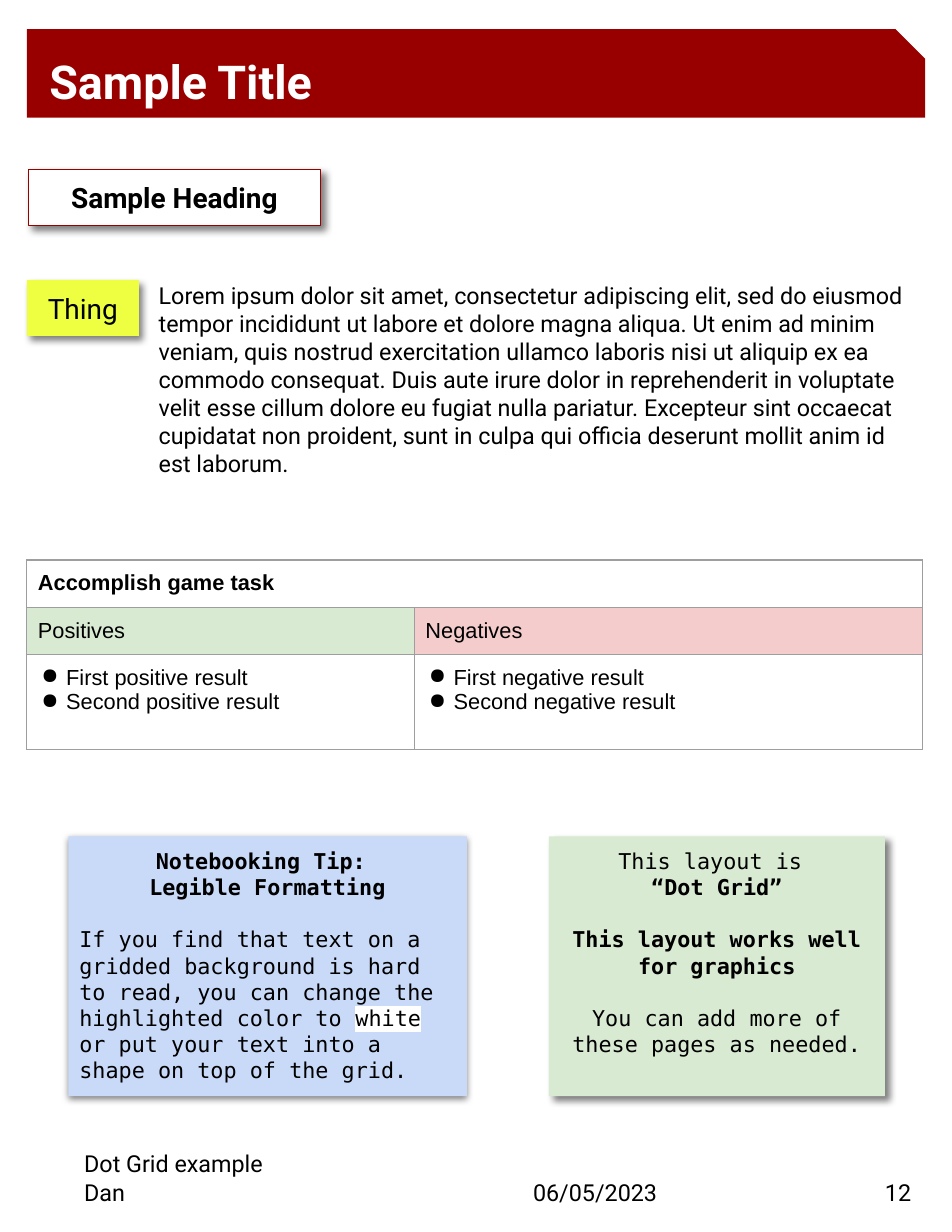
from lxml import etree
from pptx import Presentation
from pptx import util as u
from pptx.dml.color import RGBColor
from pptx.enum import shapes, text
from pptx.oxml.ns import qn

BLACK, WHITE, RED, GREEN = "000000", "FFFFFF", "980000", "D9EAD3"
SANS, MONO = "Roboto", "DejaVu Sans Mono"
LEFT, CENTER = text.PP_ALIGN.LEFT, text.PP_ALIGN.CENTER
TOP, MIDDLE = text.MSO_ANCHOR.TOP, text.MSO_ANCHOR.MIDDLE
MONO_LINE = u.Pt(16.85)


def color(value):
    return RGBColor.from_string(value)


def add_xml(parent, tag, **attributes):
    return etree.SubElement(parent, qn(tag), attributes)


def place(box):
    return [u.Cm(length) for length in box]


def add_span(para, words, size, font, ink=BLACK, bold=False, highlight=None):
    span = para.add_run()
    span.text = words
    span.font.size = u.Pt(size)
    span.font.bold = bold
    span.font.color.rgb = color(ink)
    if highlight:
        mark = etree.Element(qn("a:highlight"))
        add_xml(mark, "a:srgbClr", val=highlight)
        span.font._element.find(qn("a:solidFill")).addnext(mark)
    span.font.name = font


def set_frame(frame, insets, anchor=TOP):
    frame.word_wrap = True
    frame.auto_size = text.MSO_AUTO_SIZE.NONE
    frame.vertical_anchor = anchor
    (frame.margin_left, frame.margin_top,
     frame.margin_right, frame.margin_bottom) = place(insets)


def add_text(page, box, words, inset=0, highlight=None, line=None):
    frame = page.shapes.add_textbox(*place(box)).text_frame
    set_frame(frame, [inset] * 4)
    para = frame.paragraphs[0]
    para.line_spacing = line
    add_span(para, words, 15, SANS, highlight=highlight)


def add_panel(page, box, fill, line=None, shadow=None,
              kind=shapes.MSO_SHAPE.RECTANGLE):
    panel = page.shapes.add_shape(kind, *place(box))
    panel.fill.solid()
    panel.fill.fore_color.rgb = color(fill)
    if line:
        panel.line.color.rgb = color(line)
        panel.line.width = u.Pt(0.75)
    else:
        panel.line.fill.background()
    panel.shadow.inherit = False
    if shadow:
        distance, angle = shadow
        effects = panel._element.spPr.find(qn("a:effectLst"))
        outer = add_xml(effects, "a:outerShdw", blurRad=str(u.Pt(4.5)),
                        dist=str(u.Pt(distance)), dir=str(angle * 60000),
                        algn="bl", rotWithShape="0")
        tint = add_xml(outer, "a:srgbClr", val=BLACK)
        add_xml(tint, "a:alpha", val="50000")
    return panel


def add_banner(page, box, words):
    banner = add_panel(page, box, RED, kind=shapes.MSO_SHAPE.SNIP_1_RECTANGLE)
    banner.adjustments[0] = 0.334
    set_frame(banner.text_frame, (0.51, 0, 0.25, 0), MIDDLE)
    para = banner.text_frame.paragraphs[0]
    para.alignment = LEFT
    add_span(para, words, 30, SANS, WHITE, True)


def add_label(page, box, words, fill, line=None, bold=False):
    label = add_panel(page, box, fill, line, (3.8, 46))
    set_frame(label.text_frame, [0.25] * 4, MIDDLE)
    para = label.text_frame.paragraphs[0]
    para.alignment = CENTER
    add_span(para, words, 18, SANS, bold=bold)


def add_note(page, box, fill, shadow, content):
    note = add_panel(page, box, fill, shadow=shadow)
    frame = note.text_frame
    set_frame(frame, [0.25] * 4)
    for index, (alignment, gap, spans) in enumerate(content):
        para = frame.add_paragraph() if index else frame.paragraphs[0]
        para.alignment = alignment
        para.line_spacing = MONO_LINE
        if gap:
            para.space_before = MONO_LINE
        for words, bold, highlight in spans:
            add_span(para, words, 14, MONO, bold=bold, highlight=highlight)


def add_borders(cell):
    properties = cell._tc.get_or_add_tcPr()
    for index, side in enumerate("LRTB"):
        border = etree.Element(qn(f"a:ln{side}"), w=str(u.Pt(0.75)))
        add_xml(add_xml(border, "a:solidFill"), "a:srgbClr", val="9E9E9E")
        properties.insert(index, border)


def fill_cell(cell, lines, fill, bold=False, bullets=False):
    cell.fill.solid()
    cell.fill.fore_color.rgb = color(fill)
    cell.margin_left = cell.margin_right = u.Cm(0.25)
    cell.margin_top = cell.margin_bottom = u.Cm(0.25)
    for index, words in enumerate(lines):
        frame = cell.text_frame
        para = frame.add_paragraph() if index else frame.paragraphs[0]
        if bullets:
            properties = para._p.get_or_add_pPr()
            properties.set("marL", str(u.Cm(0.64)))
            properties.set("indent", str(u.Cm(-0.56)))
            add_xml(add_xml(properties, "a:buClr"), "a:srgbClr", val=BLACK)
            add_xml(properties, "a:buChar", char="●")
        add_span(para, words, 14, "Arial", bold=bold)


def add_results(page, box, widths, heights, heading, columns):
    table = page.shapes.add_table(len(heights), len(widths), *place(box)).table
    table.first_row = table.horz_banding = False
    for column, width in zip(table.columns, widths):
        column.width = u.Cm(width)
    for row, height in zip(table.rows, heights):
        row.height = u.Cm(height)
    table.cell(0, 0).merge(table.cell(0, 1))
    fill_cell(table.cell(0, 0), [heading], WHITE, bold=True)
    for index, (name, fill, results) in enumerate(columns):
        fill_cell(table.cell(1, index), [name], fill)
        fill_cell(table.cell(2, index), results, WHITE, bullets=True)
    for cell in table.iter_cells():
        add_borders(cell)


def add_footer(page, box, title, author, date, number):
    left, top, width, height = box
    line = 0.64
    second = top + height - line
    add_text(page, (left, top, width, line), title)
    add_text(page, (left, second, 8.89, line), author)
    add_text(page, (left + 10.18, second, 6.99, line), date)
    add_text(page, (left + 18.16, second, 1.35, line), number)


def main():
    deck = Presentation()
    deck.slide_width, deck.slide_height = u.Cm(21.59), u.Cm(27.94)
    page = deck.slides.add_slide(deck.slide_layouts[6])

    add_footer(page, (1.91, 26.06, 19.05, 1.3),
               "Dot Grid example", "Dan", "06/05/2023", "12")
    add_note(page, (12.45, 18.97, 7.62, 5.89), GREEN, (3.8, 46), [
        (CENTER, False, [("This layout is ", False, None)]),
        (CENTER, False, [("“Dot Grid”", True, None)]),
        (CENTER, True, [("This layout works well for graphics", True, None)]),
        (CENTER, True, [("You can add more of these pages as needed.", False, None)]),
    ])
    add_banner(page, (0.61, 0.66, 20.37, 2.01), "Sample Title")
    add_label(page, (0.61, 6.35, 2.54, 1.27), "Thing", "EEFF41")
    add_label(page, (0.64, 3.84, 6.63, 1.27), "Sample Heading", WHITE, RED, True)
    add_results(page, (0.61, 12.7, 20.32, 4.3), (8.79, 11.53), (1.07, 1.07, 2.16),
                "Accomplish game task", [
        ("Positives", GREEN, ["First positive result", "Second positive result"]),
        ("Negatives", "F4CCCC", ["First negative result", "Second negative result"]),
    ])
    add_text(page, (3.35, 6.12, 17.6, 5), (
        "Lorem ipsum dolor sit amet, consectetur adipiscing elit, sed do eiusmod "
        "tempor incididunt ut labore et dolore magna aliqua. Ut enim ad minim "
        "veniam, quis nostrud exercitation ullamco laboris nisi ut aliquip ex ea "
        "commodo consequat. Duis aute irure dolor in reprehenderit in voluptate "
        "velit esse cillum dolore eu fugiat nulla pariatur. Excepteur sint occaecat "
        "cupidatat non proident, sunt in culpa qui officia deserunt mollit anim id "
        "est laborum."), 0.25, WHITE, u.Pt(18))
    add_note(page, (1.55, 18.97, 9.04, 5.89), "C9DAF8", (1.5, 90), [
        (CENTER, False, [("Notebooking Tip: ", True, None)]),
        (CENTER, False, [("Legible Formatting", True, None)]),
        (LEFT, True, [
            ("If you find that text on a gridded background is hard to read, "
             "you can change the highlighted color to ", False, None),
            ("white", False, WHITE),
            (" or put your text into a shape on top of the grid.", False, None)]),
    ])
    deck.save("out.pptx")


if __name__ == "__main__":
    main()
